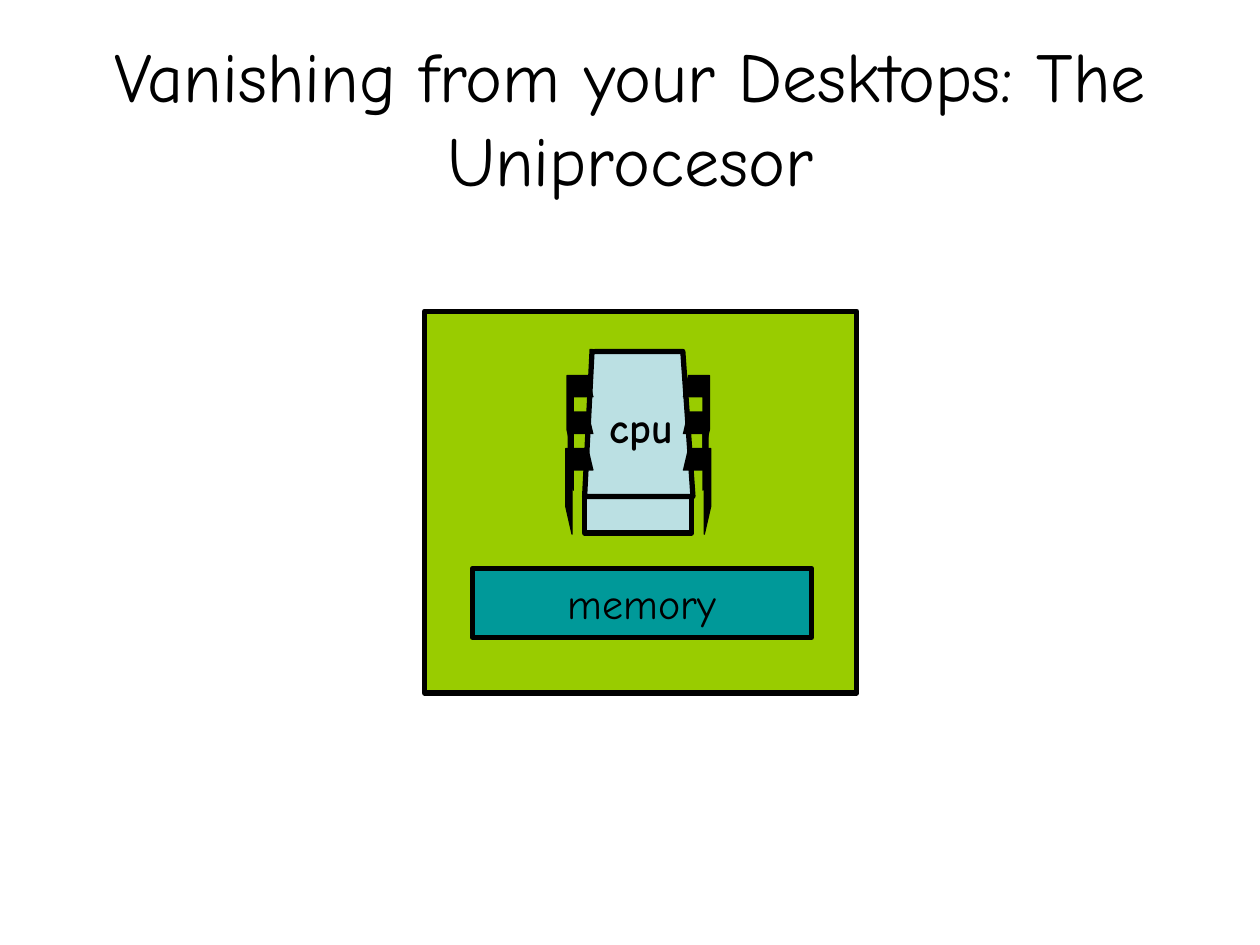
import pptx
import pptx.dml.color
import pptx.enum.shapes
import pptx.enum.text
import pptx.util

Inches = pptx.util.Inches
ALIGN = pptx.enum.text.PP_ALIGN
ANCHOR = pptx.enum.text.MSO_ANCHOR
COLORS = {"ink": "000000", "board": "99CC00", "chip": "BBE0E3", "store": "009999"}
MIRROR = 10.13
LEGS = [
    (3.56, 5.64, 5.59, 4.02, 4.24),
    (3.27, 5.62, 5.58, 3.69, 3.89),
    (2.98, 5.63, 5.58, 3.41, 3.62),
]


def tint(name):
    return pptx.dml.color.RGBColor.from_string(COLORS[name])


def write(frame, text, size=24, bold=False, align=ALIGN.CENTER, anchor=ANCHOR.MIDDLE, wrap=False):
    frame.word_wrap = wrap
    frame.vertical_anchor = anchor
    para = frame.paragraphs[0]
    para.alignment = align
    run = para.add_run()
    run.text = text
    run.font.name = "Comic Neue"
    run.font.size = pptx.util.Pt(size)
    run.font.bold = bold
    run.font.color.rgb = tint("ink")


class Sketch:
    def __init__(self, slide):
        self.slide = slide
        self.shapes = slide.shapes

    def style(self, shape, fill, width):
        shape.shadow.inherit = False
        shape.fill.solid()
        shape.fill.fore_color.rgb = tint(fill)
        shape.line.color.rgb = tint("ink")
        shape.line.width = pptx.util.Pt(width)
        return shape

    def title(self, text, *box):
        head = self.shapes.title
        head.left, head.top, head.width, head.height = map(Inches, box)
        write(head.text_frame, text, size=40, wrap=True)

    def block(self, fill, *box):
        kind = pptx.enum.shapes.MSO_SHAPE.RECTANGLE
        return self.style(self.shapes.add_shape(kind, *map(Inches, box)), fill, 3)

    def outline(self, points, fill, width):
        start, *rest = [(Inches(x), Inches(y)) for x, y in points]
        pen = self.shapes.build_freeform(*start)
        pen.add_line_segments(rest, close=False)
        return self.style(pen.convert_to_shape(), fill, width)

    def label(self, text, *box, **form):
        write(self.shapes.add_textbox(*map(Inches, box)).text_frame, text, **form)


def main():
    deck = pptx.Presentation()
    deck.slide_width, deck.slide_height = Inches(10), Inches(7.5)
    sketch = Sketch(deck.slides.add_slide(deck.slide_layouts[5]))
    sketch.title("Vanishing from your Desktops: The Uniprocesor", 0.5, 0.3, 9, 1.25)
    sketch.block("board", 3.37, 2.47, 3.43, 3.03)
    sketch.block("chip", 4.64, 3.94, 0.85, 0.29)
    body = [(4.72, 2.79), (5.42, 2.79), (5.5, 3.94), (4.64, 3.94), (4.7, 2.77)]
    sketch.outline(body, "chip", 3)
    for flip in (False, True):
        for top, outer, inner, low, tip in LEGS:
            under = top + 0.17
            leg = [(5.46, top), (outer, top), (outer, low),
                   (inner, tip), (inner, under), (5.42, under)]
            if flip:
                leg = [(MIRROR - x, y) for x, y in leg]
            sketch.outline(leg, "ink", 0.75)
    store = sketch.block("store", 3.75, 4.51, 2.69, 0.55)
    write(store.text_frame, "memory")
    sketch.label("cpu", 4.71, 3.14, 0.73, 0.5, bold=True, align=ALIGN.RIGHT, anchor=ANCHOR.TOP)
    deck.save("out.pptx")


if __name__ == "__main__":
    main()
